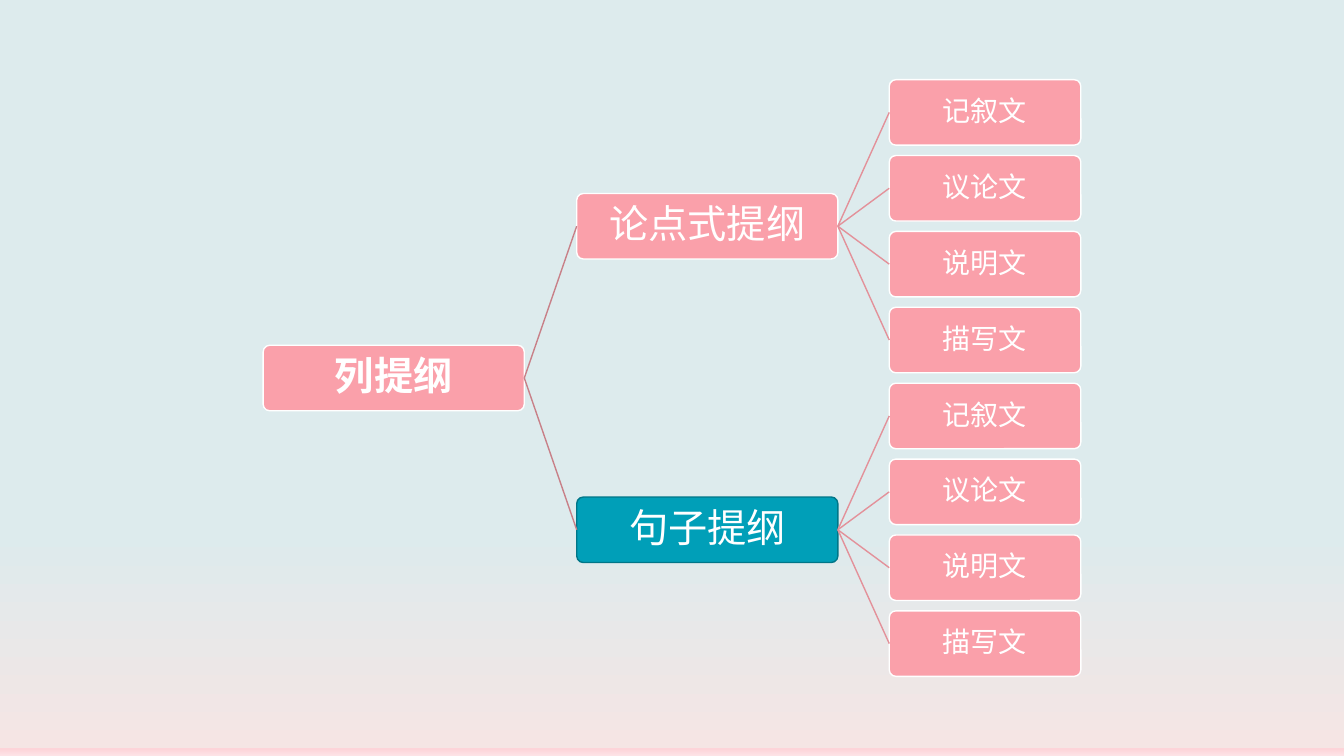
"""Build a slide with a three-level tree of outline types."""
from dataclasses import dataclass, field

from lxml.etree import SubElement
from pptx import Presentation
from pptx.dml.color import RGBColor
from pptx.enum.shapes import MSO_CONNECTOR, MSO_SHAPE
from pptx.enum.text import MSO_ANCHOR, PP_ALIGN
from pptx.oxml.ns import qn
from pptx.shapes.autoshape import Shape
from pptx.slide import Slide
from pptx.util import Inches, Pt

COLORS = {
    "pink": "FAA0AA", "teal": "009FB8", "teal_edge": "007688", "white": "FFFFFF",
    "branch": "C88088", "twig": "E3919A",
}
BACKGROUND = [(70, "DDEBED"), (99, "F5E5E4"), (99, "FDD4D9"), (100, "FDE3E6")]
BOX_H = 0.65
CENTER_Y = 3.75
LEAF_SPAN = 5.27
LEAVES = ["记叙文", "议论文", "说明文", "描写文"]


@dataclass
class Level:
    left: float
    width: float
    size: int
    line: str = "twig"


@dataclass
class Node:
    text: str
    children: list["Node"] = field(default_factory=list)
    fill: str = "pink"
    edge: str = "white"
    bold: bool = False


LEVELS = [Level(2.61, 2.59, 28, "branch"), Level(5.72, 2.59, 28), Level(8.82, 1.9, 20)]
TREE = Node("列提纲", bold=True, children=[
    Node("论点式提纲", [Node(t) for t in LEAVES]),
    Node("句子提纲", [Node(t) for t in LEAVES], "teal", "teal_edge"),
])


def rgb(name: str) -> RGBColor:
    """Look up a named colour."""
    return RGBColor.from_string(COLORS[name])


def set_background(s: Slide) -> None:
    """Fill the slide with the vertical gradient."""
    fill = s.background.fill
    fill.gradient()
    fill.gradient_angle = 270
    stops = next(s.element.iter(qn("a:gsLst")))
    for stop in list(stops):
        stops.remove(stop)
    for pos, color in BACKGROUND:
        gs = SubElement(stops, qn("a:gs"), pos=str(pos * 1000))
        SubElement(gs, qn("a:srgbClr"), val=color)


def write(sp: Shape, text: str, *, size: int, bold: bool = False, color: str = "white") -> None:
    """Put centred text in a shape."""
    tf = sp.text_frame
    tf.word_wrap = True
    tf.vertical_anchor = MSO_ANCHOR.MIDDLE
    tf.margin_left = tf.margin_right = tf.margin_top = tf.margin_bottom = Inches(0.04)
    p = tf.paragraphs[0]
    p.alignment = PP_ALIGN.CENTER
    p.line_spacing = 0.9
    r = p.add_run()
    r.text = text
    r.font.name = "League Spartan"
    r.font.size = Pt(size)
    r.font.bold = bold
    r.font.color.rgb = rgb(color)


def add_box(s: Slide, node: Node, level: Level, center: float) -> Shape:
    """Draw one node as a rounded box."""
    sp = s.shapes.add_shape(
        MSO_SHAPE.ROUNDED_RECTANGLE, Inches(level.left), Inches(center - BOX_H / 2),
        Inches(level.width), Inches(BOX_H))
    sp.adjustments[0] = 0.1
    sp.shadow.inherit = False
    sp.fill.solid()
    sp.fill.fore_color.rgb = rgb(node.fill)
    sp.line.color.rgb = rgb(node.edge)
    sp.line.width = Pt(1)
    write(sp, node.text, size=level.size, bold=node.bold)
    return sp


def join(s: Slide, parent: Shape, child: Shape, color: str) -> None:
    """Connect a parent's right side to a child's left side."""
    line = s.shapes.add_connector(MSO_CONNECTOR.STRAIGHT, 0, 0, 0, 0)
    line.begin_connect(parent, 3)
    line.end_connect(child, 1)
    line.line.color.rgb = rgb(color)
    line.line.width = Pt(1)
    SubElement(line.element.spPr, qn("a:effectLst"))


def draw_tree(s: Slide, node: Node, center: float, span: float, depth: int = 0) -> Shape:
    """Draw a node and its subtree, centred on a height."""
    level = LEVELS[depth]
    box = add_box(s, node, level, center)
    pitch = span / len(node.children) if node.children else 0
    for i, child in enumerate(node.children):
        y = center + (i - (len(node.children) - 1) / 2) * pitch
        join(s, box, draw_tree(s, child, y, pitch, depth + 1), level.line)
    return box


def main() -> None:
    """Create and save the presentation."""
    prs = Presentation()
    prs.slide_width, prs.slide_height = Inches(13.33), Inches(7.5)
    s = prs.slides.add_slide(prs.slide_layouts[6])
    set_background(s)
    leaf_count = sum(len(branch.children) for branch in TREE.children)
    draw_tree(s, TREE, CENTER_Y, LEAF_SPAN * leaf_count / (leaf_count - 1))
    prs.save("out.pptx")


if __name__ == "__main__":
    main()
